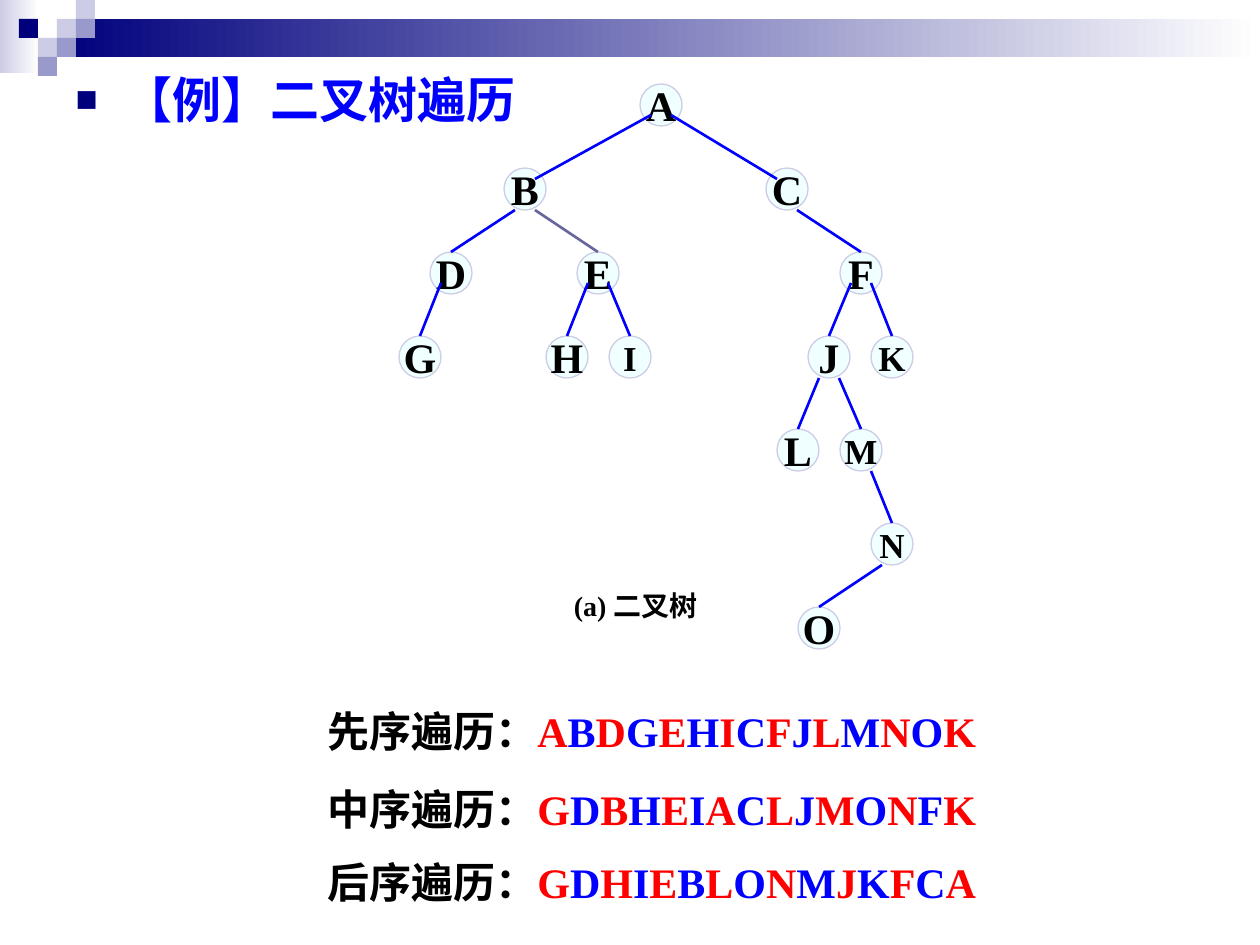
from dataclasses import dataclass

from lxml import etree
from pptx import Presentation
from pptx import util as u
from pptx.dml.color import RGBColor
from pptx.enum import shapes, text
from pptx.oxml.ns import qn

PX = 914400 / 126


@dataclass(frozen=True)
class Theme:
    navy: str = "00007D"
    lilac: str = "CCCCE6"
    violet: str = "9999CC"
    white: str = "FFFFFF"
    ink: str = "000000"
    blue: str = "0000FF"
    red: str = "FF0000"
    slate: str = "666699"
    azure: str = "F0FFFF"
    heading_font: str = "Arial"
    serif: str = "Times New Roman"
    heading: int = 28
    large: int = 24
    small: int = 20
    caption: int = 16
    edge: float = 1.5
    outline: float = 0.75


T = Theme()
CELL = 19
RADIUS = 21
LEAN = 10

NODES = {
    "A": (261, 21), "B": (125, 105), "C": (387, 105),
    "D": (51, 189), "E": (198, 189), "F": (461, 189),
    "G": (20, 273), "H": (167, 273), "I": (230, 273),
    "J": (429, 273), "K": (492, 273), "L": (398, 366),
    "M": (461, 366), "N": (492, 460), "O": (419, 544),
}
CHILDREN = {"A": "BC", "B": "DE", "C": "F", "D": "G", "E": "HI",
            "F": "JK", "J": "LM", "M": "N", "N": "O"}
SMALL_NODES = "IKMN"
INNER_STARTS = "ADEF"
TRAVERSALS = [
    (699, "先序遍历：", "ABDGEHICFJLMNOK"),
    (777, "中序遍历：", "GDBHEIACLJMONFK"),
    (850, "后序遍历：", "GDHIEBLONMJKFCA"),
]


def emu(*lengths):
    return [u.Emu(round(length * PX)) for length in lengths]


def color(value):
    return RGBColor.from_string(value)


def apply(target, values):
    for name, value in values.items():
        setattr(target, name, value)


def add_run(paragraph, words, size, ink=T.ink, face=T.serif):
    run = paragraph.add_run()
    run.text = words
    apply(run.font, {"size": u.Pt(size), "bold": True, "name": face})
    run.font.color.rgb = color(ink)


def add_solid(parent, kind, box, fill):
    shape = parent.add_shape(kind, *emu(*box))
    shape.shadow.inherit = False
    shape.fill.solid()
    shape.fill.fore_color.rgb = color(fill)
    shape.line.fill.background()
    return shape


def add_fade(parent, box, start):
    band = add_solid(parent, shapes.MSO_SHAPE.RECTANGLE, box, start)
    band.fill.gradient()
    band.fill.gradient_angle = 0
    for stop, position, value in zip(band.fill.gradient_stops, (0, 1), (start, T.white)):
        stop.position = position
        stop.color.rgb = color(value)


def add_banner(slide, box):
    left, top, width, height = box
    banner = slide.shapes.add_group_shape().shapes
    add_fade(banner, (left, top, 39, height), T.lilac)
    add_fade(banner, (left + 3 * CELL, top + CELL, width - 3 * CELL, 2 * CELL), T.navy)
    tiles = [(3, 1, T.lilac), (4, 0, T.lilac), (4, 1, T.violet), (2, 2, T.lilac),
             (1, 1, T.navy), (3, 2, T.violet), (2, 3, T.violet)]
    for column, row, fill in tiles:
        place = (left + column * CELL, top + row * CELL, CELL, CELL)
        add_solid(banner, shapes.MSO_SHAPE.RECTANGLE, place, fill)


def add_heading(slide, box):
    slide.shapes.title.element.getparent().remove(slide.shapes.title.element)
    heading = slide.placeholders[1]
    apply(heading, dict(zip(("left", "top", "width", "height"), emu(*box))))
    apply(heading.text_frame, {"auto_size": text.MSO_AUTO_SIZE.NONE,
                               "vertical_anchor": text.MSO_ANCHOR.TOP})
    paragraph = heading.text_frame.paragraphs[0]
    paragraph.space_before = u.Pt(0)
    properties = paragraph._p.get_or_add_pPr()
    indent = emu(48)[0]
    properties.set("marL", str(indent))
    properties.set("indent", str(-indent))
    bullet_color = etree.SubElement(properties, qn("a:buClr"))
    etree.SubElement(bullet_color, qn("a:srgbClr"), val=T.navy)
    etree.SubElement(properties, qn("a:buSzPct"), val="75000")
    etree.SubElement(properties, qn("a:buFont"), typeface=T.heading_font)
    etree.SubElement(properties, qn("a:buChar"), char="■")
    add_run(paragraph, "【例】二叉树遍历", T.heading, T.blue, T.heading_font)


def add_node(tree, letter, x, y):
    box = (x - RADIUS, y - RADIUS, 2 * RADIUS, 2 * RADIUS)
    node = add_solid(tree, shapes.MSO_SHAPE.OVAL, box, T.azure)
    node.line.color.rgb = color(T.lilac)
    node.line.width = u.Pt(T.outline)
    apply(node.text_frame, {"word_wrap": False, "vertical_anchor": text.MSO_ANCHOR.MIDDLE})
    paragraph = node.text_frame.paragraphs[0]
    paragraph.alignment = text.PP_ALIGN.CENTER
    add_run(paragraph, letter, T.small if letter in SMALL_NODES else T.large)
    return node


def add_edge(tree, parent, child, nodes, left, top):
    (x1, y1), (x2, y2) = NODES[parent], NODES[child]
    side = LEAN if x2 > x1 else -LEAN
    drop = LEAN if parent in INNER_STARTS else RADIUS
    from_root = parent == "A"
    end = (x2 - side, y2 - LEAN) if from_root else (x2, y2 - RADIUS)
    edge = tree.add_connector(
        shapes.MSO_CONNECTOR.STRAIGHT,
        *emu(left + x1 + side, top + y1 + drop, left + end[0], top + end[1]))
    if not from_root:
        edge.end_connect(nodes[child], 0)
    edge.line.color.rgb = color(T.slate if parent + child == "BE" else T.blue)
    edge.line.width = u.Pt(T.edge)
    etree.SubElement(edge._element.spPr, qn("a:effectLst"))


def add_tree(slide, box):
    left, top = box[:2]
    tree = slide.shapes.add_group_shape().shapes
    nodes = {letter: add_node(tree, letter, left + x, top + y)
             for letter, (x, y) in NODES.items()}
    for parent, children in CHILDREN.items():
        for child in children:
            add_edge(tree, parent, child, nodes, left, top)


def add_line(slide, box, alignment):
    line = slide.shapes.add_textbox(*emu(*box))
    apply(line.text_frame, {"word_wrap": True,
                            "auto_size": text.MSO_AUTO_SIZE.SHAPE_TO_FIT_TEXT})
    paragraph = line.text_frame.paragraphs[0]
    paragraph.alignment = alignment
    return paragraph


def add_caption(slide, box):
    add_run(add_line(slide, box, text.PP_ALIGN.CENTER), "(a) 二叉树", T.caption)


def add_traversal(slide, box, label, order):
    line = add_line(slide, box, text.PP_ALIGN.LEFT)
    add_run(line, label, T.large)
    for place, letter in enumerate(order):
        add_run(line, letter, T.large, T.blue if place % 2 else T.red)


def main():
    deck = Presentation()
    deck.slide_width, deck.slide_height = emu(1260, 945)
    slide = deck.slides.add_slide(deck.slide_layouts[1])
    add_banner(slide, (0, 0, 1260, 73))
    add_heading(slide, (63, 63, 1134, 882))
    add_tree(slide, (400, 84, 513, 565))
    add_caption(slide, (473, 582, 325, 47))
    for top, label, order in TRAVERSALS:
        add_traversal(slide, (315, top, 689, 63), label, order)
    deck.save("out.pptx")


if __name__ == "__main__":
    main()
